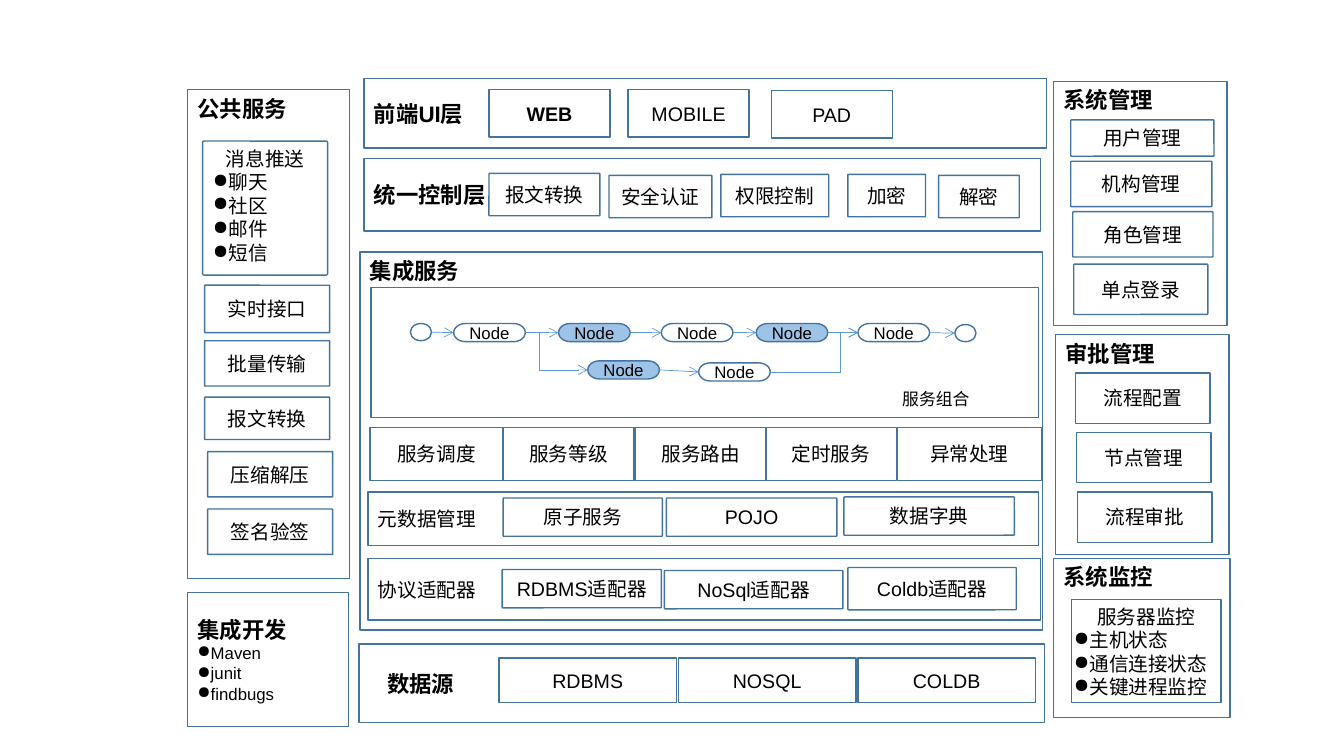
from itertools import pairwise

from lxml.etree import SubElement
from pptx import Presentation
from pptx.dml.color import RGBColor
from pptx.enum.shapes import MSO_CONNECTOR as Link, MSO_SHAPE as Shape
from pptx.enum.text import MSO_ANCHOR as Anchor, PP_ALIGN as Align
from pptx.oxml.ns import qn
from pptx.util import Inches, Pt

BLACK = RGBColor(0x00, 0x00, 0x00)
WHITE = RGBColor(0xFF, 0xFF, 0xFF)
OUTLINE = RGBColor(0x43, 0x73, 0x9E)
FLOW_BLUE = RGBColor(0x5B, 0x9B, 0xD5)
NODE_BLUE = RGBColor(0x9D, 0xC3, 0xE6)
LATIN, HAN = "Arial", "Noto Sans CJK SC"


def write(paragraph, text, size=14, bold=False, align=Align.CENTER, bullet=False, font=LATIN):
    paragraph.alignment = align
    if bullet:
        props = paragraph._p.get_or_add_pPr()
        props.set("marL", "0")
        props.set("indent", "0")
        SubElement(props, qn("a:buChar")).set("char", "●")
    run = paragraph.add_run()
    run.text = text
    run.font.size, run.font.bold, run.font.name = Pt(size), bold, font
    run.font.color.rgb = BLACK
    SubElement(run._r.get_or_add_rPr(), qn("a:ea")).set("typeface", HAN)


class Diagram:
    def __init__(self, slide):
        self.shapes = slide.shapes

    def box(self, text, x, y, w, h, kind=Shape.RECTANGLE, radius=None, fill=None,
            items=(), item_size=14, anchor=Anchor.MIDDLE, inset=0.1, **style):
        """Outlined shape with a title and an optional bulleted list."""
        if radius is not None:
            kind = Shape.ROUNDED_RECTANGLE
        shape = self.shapes.add_shape(kind, Inches(x), Inches(y), Inches(w), Inches(h))
        if radius is not None:
            shape.adjustments[0] = radius
        shape.shadow.inherit = False
        if fill is None:
            shape.fill.background()
        else:
            shape.fill.solid()
            shape.fill.fore_color.rgb = fill
        shape.line.color.rgb, shape.line.width = OUTLINE, Pt(1)
        frame = shape.text_frame
        frame.word_wrap, frame.vertical_anchor = True, anchor
        frame.margin_left = frame.margin_right = Inches(inset)
        if text:
            write(frame.paragraphs[0], text, **style)
        for item in items:
            write(frame.add_paragraph(), item, item_size, align=Align.LEFT, bullet=True)
        return shape

    def panel(self, title, x, y, w, h, size=16, bold=True, anchor=Anchor.MIDDLE, **style):
        return self.box(title, x, y, w, h, size=size, bold=bold, anchor=anchor,
                        align=Align.LEFT, **style)

    def label(self, text, x, y, w, h, **style):
        area = self.shapes.add_textbox(Inches(x), Inches(y), Inches(w), Inches(h))
        area.text_frame.word_wrap = False
        write(area.text_frame.paragraphs[0], text, align=Align.LEFT, **style)

    def node(self, x, y, fill=None):
        # Slim insets and anchoring keep the caption centred in the low pill
        return self.box("Node", x, y, 0.71, 0.18, kind=Shape.FLOWCHART_TERMINATOR,
                        fill=fill, size=12)

    def terminal(self, x, y):
        return self.box("", x, y, 0.21, 0.17, kind=Shape.FLOWCHART_CONNECTOR)

    def arrow(self, source, target, bend=None, head=True):
        """Link from the right edge of source to the left edge of target."""
        link = self.shapes.add_connector(
            Link.STRAIGHT if bend is None else Link.ELBOW,
            source.left + source.width, source.top + source.height // 2,
            target.left, target.top + target.height // 2)
        link.line.color.rgb, link.line.width = FLOW_BLUE, Pt(0.5)
        props = link._element.spPr
        if bend is not None:
            guide = SubElement(props.find(qn("a:prstGeom")).find(qn("a:avLst")), qn("a:gd"))
            guide.set("name", "adj1")
            guide.set("fmla", f"val {round(bend * 100000)}")
        SubElement(link.line._get_or_add_ln(), qn("a:tailEnd")).set("type", "arrow")
        SubElement(props, qn("a:effectLst"))


deck = Presentation()
deck.slide_width, deck.slide_height = Inches(13.33), Inches(7.5)
diagram = Diagram(deck.slides.add_slide(deck.slide_layouts[6]))
box, panel = diagram.box, diagram.panel

# Public services
panel("公共服务", 1.86, 0.89, 1.61, 4.85, anchor=Anchor.TOP, font=HAN)
box("消息推送", 2.01, 1.4, 1.24, 1.33, radius=0.013, anchor=Anchor.TOP,
    items=("聊天", "社区", "邮件", "短信"))
for service, x, y, h in (("实时接口", 2.03, 2.83, 0.47), ("批量传输", 2.03, 3.38, 0.45),
                         ("报文转换", 2.03, 3.94, 0.42), ("压缩解压", 2.06, 4.48, 0.45),
                         ("签名验签", 2.06, 5.05, 0.45)):
    box(service, x, y, 1.24, h, radius=0.01)

# Integrated development
panel("集成开发", 1.86, 5.88, 1.6, 1.33, items=("Maven", "junit", "findbugs"), item_size=12)

# Front-end UI layer
panel("前端UI层", 3.61, 0.78, 6.77, 0.69, fill=WHITE)
for client, x, y, bold in (("WEB", 4.85, 0.89, True), ("MOBILE", 6.23, 0.89, False),
                           ("PAD", 7.65, 0.9, False)):
    box(client, x, y, 1.2, 0.47, bold=bold)

# Unified control layer
panel("统一控制层", 3.61, 1.57, 6.71, 0.72)
for control, x, y, w in (("报文转换", 4.85, 1.72, 1.1), ("安全认证", 6.04, 1.74, 1.02),
                         ("权限控制", 7.15, 1.73, 1.07), ("加密", 8.41, 1.73, 0.77),
                         ("解密", 9.31, 1.74, 0.8)):
    box(control, x, y, w, 0.42, radius=0.01)

# Integration services
panel("集成服务", 3.57, 2.5, 6.77, 3.75, anchor=Anchor.TOP)
box("", 3.68, 2.85, 6.62, 1.29)
diagram.label("服务组合", 8.85, 3.81, 0.88, 0.3, size=12, font=HAN)

# Service flow: main chain and lower branch
main_nodes = [diagram.node(x, 3.21, fill) for x, fill in
              ((4.5, None), (5.54, NODE_BLUE), (6.56, None), (7.5, NODE_BLUE), (8.51, None))]
main_chain = [diagram.terminal(4.07, 3.21), *main_nodes, diagram.terminal(9.47, 3.22)]
branch = [diagram.node(5.83, 3.58, NODE_BLUE), diagram.node(6.93, 3.6)]
for chain in (main_chain, branch):
    for source, target in pairwise(chain):
        diagram.arrow(source, target)
diagram.arrow(main_nodes[0], branch[0], bend=0.23)
diagram.arrow(branch[-1], main_nodes[-1], bend=0.8)

# Service governance strip
for ability, x, w in (("服务调度", 3.67, 1.32), ("服务等级", 4.99, 1.3), ("服务路由", 6.3, 1.3),
                      ("定时服务", 7.59, 1.3), ("异常处理", 8.9, 1.43)):
    box(ability, x, 4.24, w, 0.53)

# Metadata and protocol adapters
panel("元数据管理", 3.65, 4.88, 6.65, 0.53, size=14, bold=False, fill=WHITE)
panel("协议适配器", 3.65, 5.54, 6.67, 0.61, size=14, bold=False, fill=WHITE)
for part, x, y, w, h in (("原子服务", 4.99, 4.94, 1.58, 0.38), ("POJO", 6.61, 4.94, 1.69, 0.38),
                         ("数据字典", 8.37, 4.93, 1.69, 0.38),
                         ("RDBMS适配器", 4.98, 5.65, 1.58, 0.38),
                         ("NoSql适配器", 6.59, 5.66, 1.77, 0.38),
                         ("Coldb适配器", 8.41, 5.63, 1.67, 0.42)):
    box(part, x, y, w, h, radius=0.019)

# Data sources
panel("数据源", 3.56, 6.39, 6.8, 0.78, fill=WHITE, inset=0.28)
for column, store in enumerate(("RDBMS", "NOSQL", "COLDB")):
    box(store, 4.95 + 1.78 * column, 6.53, 1.76, 0.44)

# System management
panel("系统管理", 10.45, 0.81, 1.72, 2.42, fill=WHITE, anchor=Anchor.TOP, font=HAN)
for duty, x, y, w, h in (("用户管理", 10.62, 1.19, 1.42, 0.36), ("机构管理", 10.62, 1.6, 1.4, 0.45),
                         ("角色管理", 10.64, 2.1, 1.39, 0.45), ("单点登录", 10.65, 2.62, 1.33, 0.5)):
    box(duty, x, y, w, h, radius=0.02)

# Approval management
panel("审批管理", 10.47, 3.32, 1.72, 2.18, anchor=Anchor.TOP)
for row, step in enumerate(("流程配置", "节点管理", "流程审批")):
    box(step, 10.67 + 0.01 * row, 3.7 + 0.59 * row, 1.33, 0.5)

# System monitoring
panel("系统监控", 10.45, 5.54, 1.75, 1.58, fill=WHITE, anchor=Anchor.TOP)
box("服务器监控", 10.63, 5.95, 1.48, 1.02, anchor=Anchor.TOP, inset=0.02,
    items=("主机状态", "通信连接状态", "关键进程监控"))

deck.save("out.pptx")
